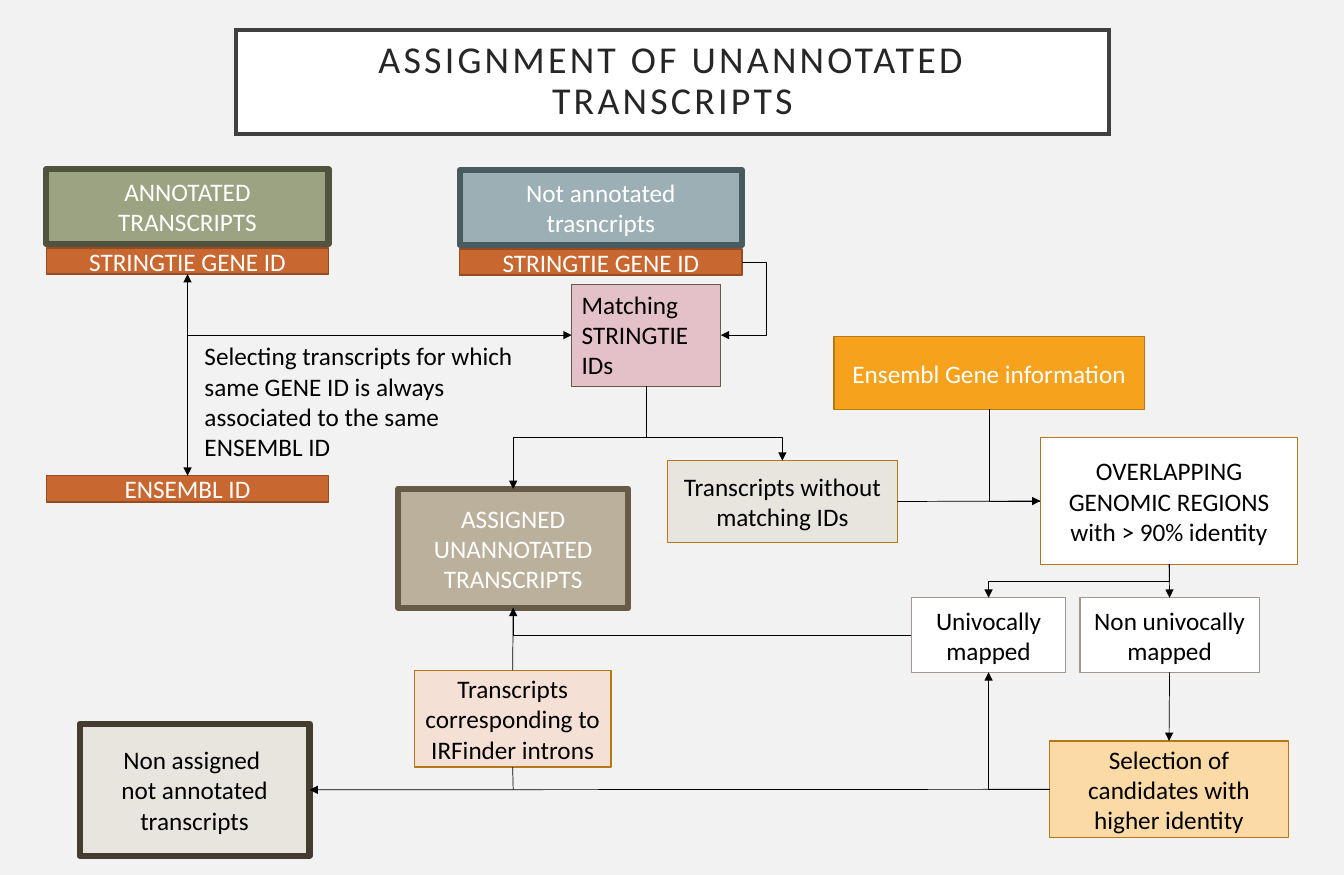
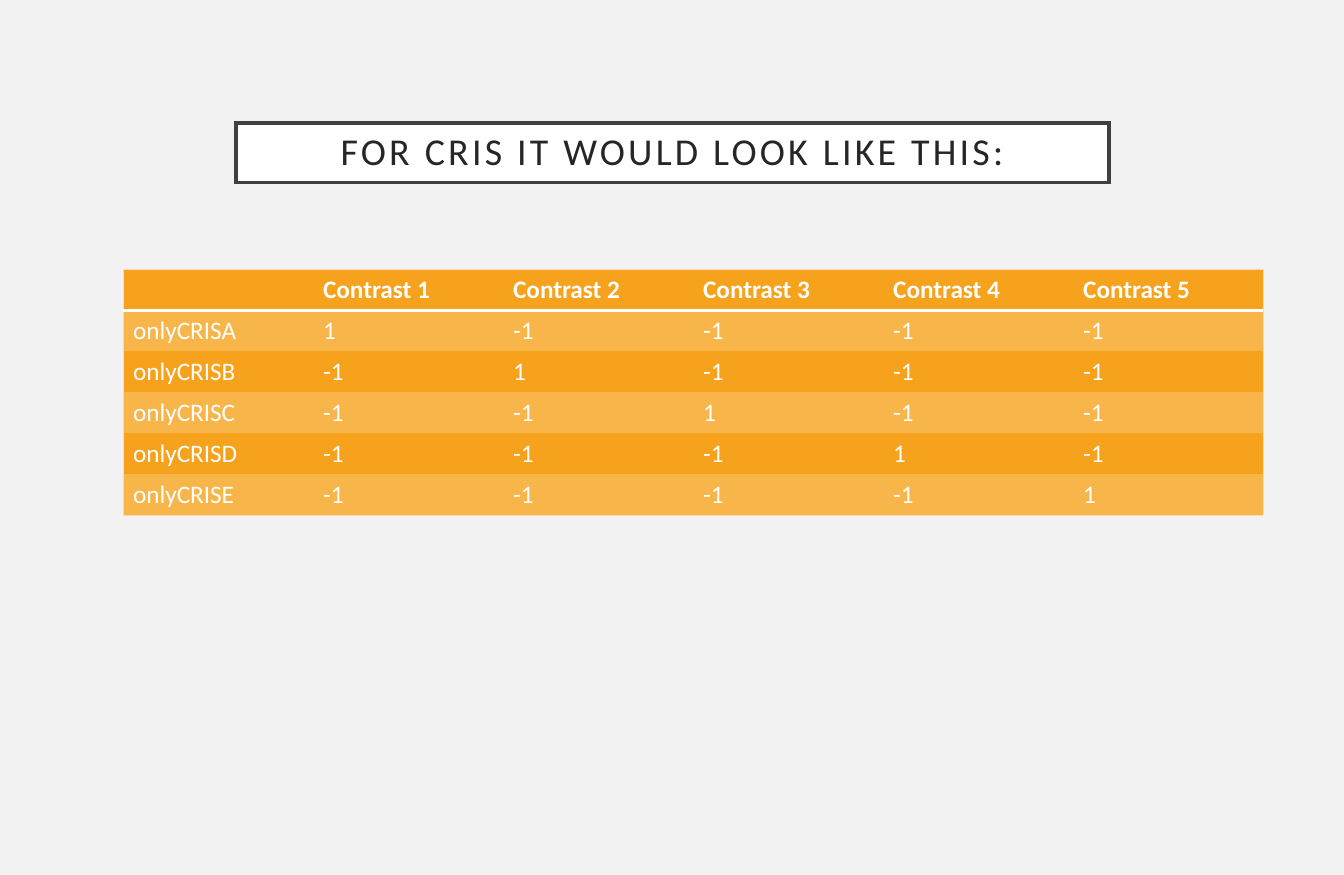
from lxml.etree import SubElement
from pptx import Presentation
from pptx.dml.color import RGBColor
from pptx.enum.shapes import MSO_CONNECTOR, MSO_SHAPE
from pptx.enum.text import MSO_ANCHOR, MSO_AUTO_SIZE, PP_ALIGN
from pptx.oxml.ns import qn
from pptx.util import Inches, Pt

FONT = "Calibri"
COLORS = {
    "background": "F2F2F2", "white": "FFFFFF", "black": "000000",
    "title_text": "262626", "title_line": "404040",
    "orange": "F6A21D", "orange_line": "B67815", "orange_band": "F8B54A",
    "orange_pale": "FBDAA5", "table_edge": "FBD7BD",
    "rust": "C96731", "rust_line": "954C24", "rust_pale": "F5E0D5",
    "green": "9CA383", "green_line": "50543F",
    "blue": "9BAFB5", "blue_line": "475B61",
    "tan": "BAB09B", "tan_line": "655B46", "tan_pale": "E8E5DE",
    "pink": "D48595", "gray_line": "A0988C", "brown_line": "443C2E",
}
TOP, LEFT, BOTTOM, RIGHT = range(4)


def color(name):
    """Return the named colour."""
    return RGBColor.from_string(COLORS[name])


def style_paragraph(paragraph, size, color_name, align=PP_ALIGN.CENTER, bold=False):
    """Set alignment and font of a paragraph."""
    paragraph.alignment = align
    font = paragraph.font
    font.name, font.size, font.bold = FONT, Pt(size), bold
    font.color.rgb = color(color_name)


def add_box(slide, box, text, fill, line, width=1, text_color="black", size=18):
    """Add a filled, outlined rectangle with centred text."""
    shape = slide.shapes.add_shape(MSO_SHAPE.RECTANGLE, *map(Inches, box))
    shape.shadow.inherit = False
    shape.fill.solid()
    shape.fill.fore_color.rgb = color(fill)
    shape.line.color.rgb = color(line)
    shape.line.width = Pt(width)
    frame = shape.text_frame
    frame.word_wrap = True
    frame.vertical_anchor = MSO_ANCHOR.MIDDLE
    frame.text = text
    style_paragraph(frame.paragraphs[0], size, text_color)
    return shape


def add_title_slide(presentation, title, box):
    """Add a blank slide with the shared background and framed title."""
    slide = presentation.slides.add_slide(presentation.slide_layouts[6])
    slide.background.fill.solid()
    slide.background.fill.fore_color.rgb = color("background")
    shape = add_box(slide, box, title, "white", "title_line", 2.5, "title_text", 27.1)
    SubElement(shape.line._get_or_add_ln(), qn("a:miter"), lim="800000")
    frame = shape.text_frame
    frame.margin_left = frame.margin_right = Inches(0.2)
    frame.margin_top = frame.margin_bottom = Inches(0.2)
    paragraph = frame.paragraphs[0]
    paragraph.line_spacing = 0.9
    paragraph._p.pPr.find(qn("a:defRPr")).set("spc", "230")
    return slide


def add_link(slide, start, end, kind="straight", bend=None, head=False, tail=True):
    """Link two ends, each a (shape, site) pair or an (x, y) point."""
    route = MSO_CONNECTOR.STRAIGHT if kind == "straight" else MSO_CONNECTOR.ELBOW
    points = [(0, 0) if hasattr(part[0], "shape_id") else part for part in (start, end)]
    connector = slide.shapes.add_connector(route, *(Inches(v) for p in points for v in p))
    if hasattr(start[0], "shape_id"):
        connector.begin_connect(*start)
    if hasattr(end[0], "shape_id"):
        connector.end_connect(*end)
    connector.line.color.rgb = color("black")
    connector.line.width = Pt(0.5)
    properties = connector._element.spPr
    geometry = properties.find(qn("a:prstGeom"))
    if kind == "corner":
        geometry.set("prst", "bentConnector2")
    if kind == "drop":
        turn_downward(connector)
    if bend is not None:
        guides = geometry.find(qn("a:avLst"))
        if guides is None:
            guides = SubElement(geometry, qn("a:avLst"))
        SubElement(guides, qn("a:gd"), name="adj1", fmla=f"val {round(bend * 100000)}")
    outline = connector.line._get_or_add_ln()
    for tag, shown in (("a:headEnd", head), ("a:tailEnd", tail)):
        if shown:
            SubElement(outline, qn(tag), type="triangle")
    SubElement(properties, qn("a:effectLst"))
    return connector


def turn_downward(connector):
    """Rotate an elbow connector so that it leaves its start downwards."""
    goes_right = connector.end_x > connector.begin_x
    width, height = connector.width, connector.height
    center_x = connector.left + width // 2
    center_y = connector.top + height // 2
    connector.left, connector.top = center_x - height // 2, center_y - width // 2
    connector.width, connector.height = height, width
    transform = connector._element.spPr.find(qn("a:xfrm"))
    transform.set("rot", "16200000" if goes_right else "5400000")
    transform.set("flipH", "1" if goes_right else "0")
    transform.set("flipV", "0")


def add_sources(slide, left, top):
    """Add both transcript sources with their ID bars and the matching step."""
    wide, high, bar = 2.8, 0.74, 0.26
    second = left + 4.1
    bar_style = ("rust", "rust_line", 1, "white")
    add_box(slide, (left, top, wide, high), "ANNOTATED TRANSCRIPTS",
            "green", "green_line", 4.5, "white")
    add_box(slide, (second, top + 0.01, wide, high), "Not annotated trasncripts",
            "blue", "blue_line", 4.5, "white")
    known, novel, ensembl = (
        add_box(slide, (x, y, wide, bar), text, *bar_style) for x, y, text in (
            (left, top + 0.78, "STRINGTIE GENE ID"),
            (second, top + 0.79, "STRINGTIE GENE ID"),
            (left, top + 3.04, "ENSEMBL ID")))
    matching = add_box(slide, (left + 5.21, top + 1.14, 1.48, 1.01),
                       "Matching STRINGTIE IDs", "pink", "tan_line", 0.75)
    tint = matching._element.spPr.find(qn("a:solidFill"))[0]
    SubElement(tint, qn("a:alpha"), val="45000")
    matching.text_frame.vertical_anchor = MSO_ANCHOR.TOP
    matching.text_frame.paragraphs[0].alignment = PP_ALIGN.LEFT

    note = slide.shapes.add_textbox(*map(Inches, (left + 1.47, top + 1.65, 3.47, 1.31)))
    frame = note.text_frame
    frame.word_wrap = True
    frame.auto_size = MSO_AUTO_SIZE.SHAPE_TO_FIT_TEXT
    frame.text = ("Selecting transcripts for which same GENE ID is always "
                  "associated to the same ENSEMBL ID")
    style_paragraph(frame.paragraphs[0], 18, "black", PP_ALIGN.LEFT)

    add_link(slide, (known, BOTTOM), (ensembl, TOP), head=True)
    add_link(slide, (left + wide / 2, top + 1.645), (matching, LEFT))
    add_link(slide, (novel, RIGHT), (matching, RIGHT), "elbow", bend=-1.17)
    return matching


def add_overlaps(slide, left, top):
    """Add the genomic overlap branch and return the boxes others link to."""
    gene = add_box(slide, (left, top, 3.08, 0.72), "Ensembl Gene information",
                   "orange", "orange_line", 1, "white")
    overlap = add_box(slide, (left + 2.05, top + 1, 2.55, 1.26),
                      "OVERLAPPING GENOMIC REGIONS with > 90% identity",
                      "white", "orange_line")
    unique = add_box(slide, (left + 0.77, top + 2.59, 1.53, 0.74),
                     "Univocally mapped", "white", "gray_line")
    multiple = add_box(slide, (left + 2.44, top + 2.59, 1.78, 0.74),
                       "Non univocally mapped", "white", "gray_line")
    selection = add_box(slide, (left + 2.14, top + 4.01, 2.37, 0.96),
                        "Selection of candidates with higher identity",
                        "orange_pale", "orange_line")
    add_link(slide, (overlap, LEFT), (gene, BOTTOM), "corner", tail=False)
    add_link(slide, (overlap, BOTTOM), (unique, TOP), "drop")
    add_link(slide, (overlap, BOTTOM), (multiple, TOP))
    add_link(slide, (multiple, BOTTOM), (selection, TOP))
    add_link(slide, (selection, LEFT), (unique, BOTTOM), "corner")
    return overlap, unique, selection


def add_outcomes(slide, left, top, matching, overlap, unique, selection):
    """Add the assigned and unassigned outcomes and link them up."""
    assigned = add_box(slide, (left + 3.16, top, 2.28, 1.18),
                       "ASSIGNED UNANNOTATED TRANSCRIPTS",
                       "tan", "tan_line", 4.5, "white")
    unmatched = add_box(slide, (left + 5.83, top - 0.28, 2.28, 0.81),
                        "Transcripts without matching IDs", "tan_pale", "orange_line")
    unassigned = add_box(slide, (left, top + 2.33, 2.28, 1.31),
                         "Non assigned \vnot annotated transcripts",
                         "tan_pale", "brown_line", 4.5)
    introns = add_box(slide, (left + 3.32, top + 1.8, 1.95, 0.96),
                      "Transcripts corresponding to IRFinder introns",
                      "rust_pale", "orange_line")
    add_link(slide, (matching, BOTTOM), (assigned, TOP), "drop")
    add_link(slide, (matching, BOTTOM), (unmatched, TOP), "drop", bend=0.69)
    add_link(slide, (unmatched, RIGHT), (overlap, LEFT))
    add_link(slide, (unique, LEFT), (assigned, BOTTOM), "corner")
    add_link(slide, (selection, LEFT), (unassigned, RIGHT))
    add_link(slide, (introns, TOP), (assigned, BOTTOM), tail=False)
    add_link(slide, (introns, BOTTOM), (left + 4.3, top + 2.98), tail=False)


def add_border(cell, side, color_name, width):
    """Draw one border of a table cell."""
    line = SubElement(cell._tc.get_or_add_tcPr(), qn(f"a:ln{side}"), w=str(Pt(width)))
    fill = SubElement(line, qn("a:solidFill"))
    SubElement(fill, qn("a:srgbClr"), val=COLORS[color_name])


def add_contrast_table(slide, box, groups):
    """Add a table with 1 where group and contrast agree and -1 elsewhere."""
    count = len(groups)
    rows = [[""] + [f"Contrast {n + 1}" for n in range(count)]]
    rows += [[group] + ["1" if n == i else "-1" for n in range(count)]
             for i, group in enumerate(groups)]
    size = count + 1
    table = slide.shapes.add_table(size, size, *map(Inches, box)).table
    table.first_row = table.horz_banding = False
    style = table._tbl.tblPr.find(qn("a:tableStyleId"))
    style.text = "{2D5ABB26-0587-4C30-8999-92F81FD0307C}"
    for r, values in enumerate(rows):
        for c, value in enumerate(values):
            cell = table.cell(r, c)
            cell.text = value
            style_paragraph(cell.text_frame.paragraphs[0], 18, "white",
                            PP_ALIGN.LEFT, bold=r == 0)
            for side, at_edge in (("L", c == 0), ("R", c == count),
                                  ("T", r == 0), ("B", r == count)):
                if at_edge:
                    add_border(cell, side, "table_edge", 0.5)
            if r == 0:
                add_border(cell, "B", "white", 2.5)
            cell.fill.solid()
            cell.fill.fore_color.rgb = color("orange_band" if r % 2 else "orange")


def main():
    """Build and save the presentation."""
    presentation = Presentation()
    presentation.slide_width, presentation.slide_height = Inches(13.33), Inches(8.68)

    slide = add_title_slide(presentation, "ASSIGNMENT OF UNANNOTATED TRANSCRIPTS",
                            (2.34, 0.3, 8.66, 1.03))
    matching = add_sources(slide, 0.46, 1.68)
    overlap, unique, selection = add_overlaps(slide, 8.27, 3.34)
    add_outcomes(slide, 0.79, 4.85, matching, overlap, unique, selection)

    slide = add_title_slide(presentation, "FOR CRIS IT WOULD LOOK LIKE THIS:",
                            (2.34, 1.22, 8.66, 0.59))
    add_contrast_table(slide, (1.22, 2.67, 11.31, 2.44),
                       [f"onlyCRIS{letter}" for letter in "ABCDE"])
    presentation.save("out.pptx")


if __name__ == "__main__":
    main()
